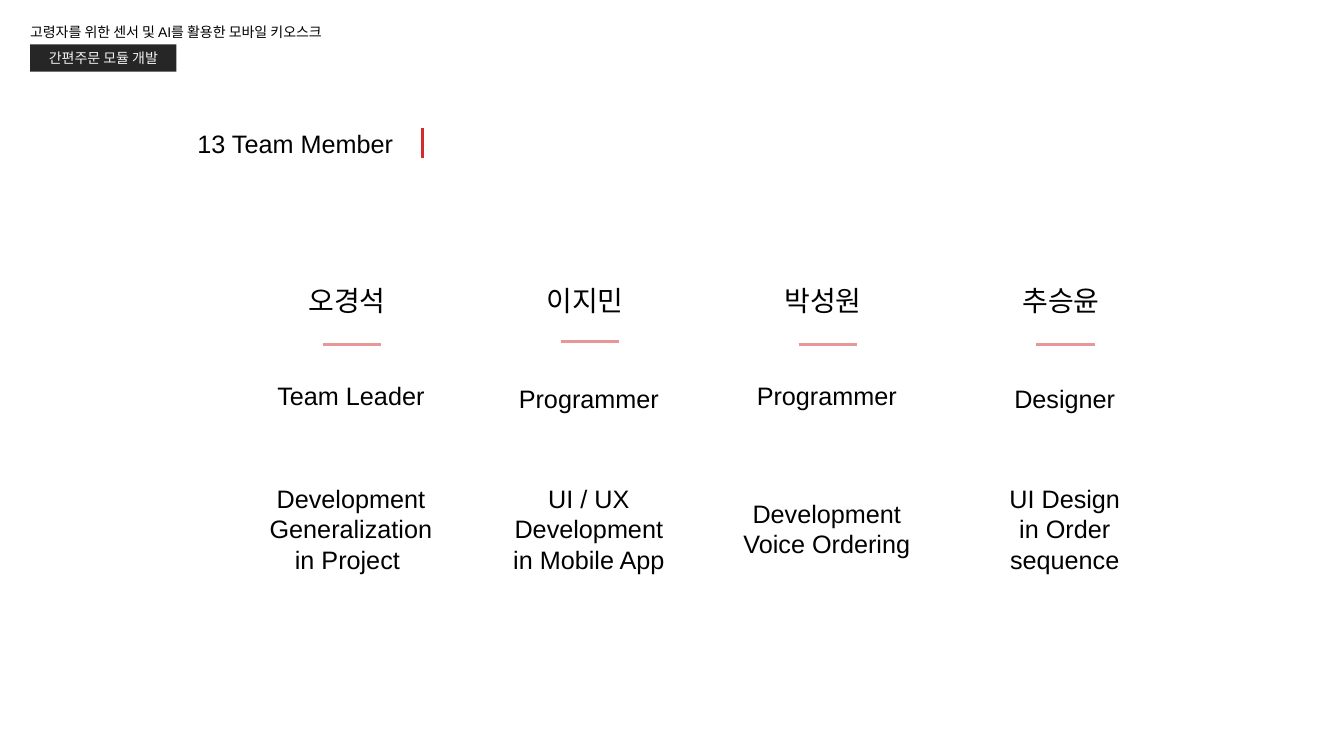
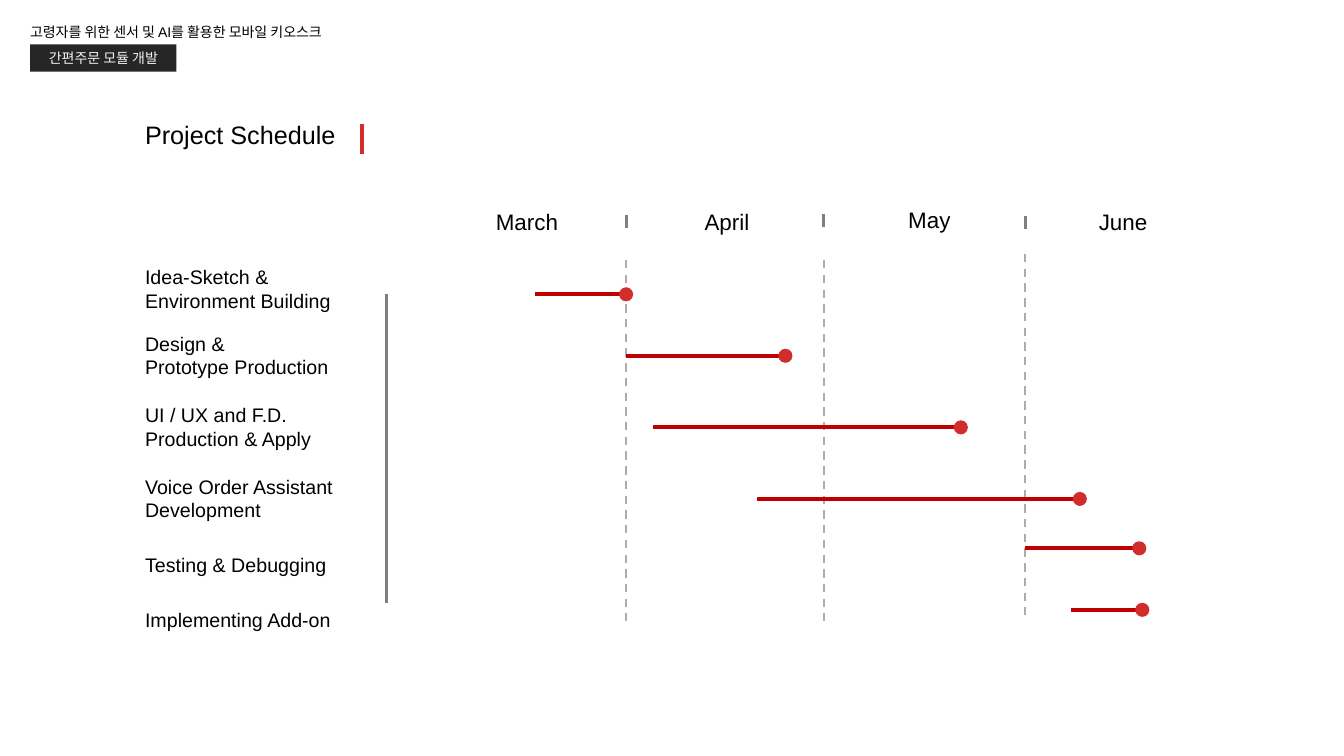
from pptx import Presentation
from pptx.dml.color import RGBColor
from pptx.enum.dml import MSO_LINE
from pptx.enum.shapes import MSO_CONNECTOR, MSO_SHAPE
from pptx.enum.text import MSO_ANCHOR, PP_ALIGN
from pptx.oxml.ns import qn
from pptx.util import Inches, Pt
from lxml import etree

LEFT, CENTER = PP_ALIGN.LEFT, PP_ALIGN.CENTER
TOP, MIDDLE = MSO_ANCHOR.TOP, MSO_ANCHOR.MIDDLE
RECTANGLE, OVAL = MSO_SHAPE.RECTANGLE, MSO_SHAPE.OVAL
STRAIGHT, DASH = MSO_CONNECTOR.STRAIGHT, MSO_LINE.DASH

FONT = "Arial"
COLORS = {
    "text": "000000",
    "badge": "262626",
    "badge_text": "F2F2F2",
    "accent": "D12D2D",
    "soft_accent": "E69898",
    "bar": "C00000",
    "axis": "808080",
    "grid": "AFABAB",
}

# Name, role, duty lines, rule offset and role offset from the column top
MEMBERS = [
    ("오경석", "Team Leader", ["Development Generalization in Project "], 0.66, 0.96),
    ("이지민", "Programmer", ["UI / UX", "Development", "in Mobile App"], 0.63, 0.99),
    ("박성원", "Programmer", ["Development", "Voice Ordering"], 0.66, 0.96),
    ("추승윤", "Designer", ["UI Design", "in Order sequence"], 0.66, 0.99),
]
COLUMN_PITCH = 2.36

# Offsets from the left and top of the schedule
MONTHS = [("March", 3.48, 0.02), ("April", 5.55, 0.02),
          ("May", 7.57, 0), ("June", 9.46, 0.02)]
# Month boundary, tick top, grid line top
BOUNDARIES = [(4.87, 0.13, 0.58), (6.83, 0.12, 0.58), (8.83, 0.14, 0.52)]
# Label lines, label top, bar start, bar end, bar height
TASKS = [
    (["Idea-Sketch &", "Environment Building"], 0.58, 3.97, 4.87, 0.92),
    (["Design &", "Prototype Production"], 1.24, 4.87, 6.45, 1.53),
    (["UI / UX and F.D.", "Production & Apply"], 1.95, 5.14, 8.19, 2.24),
    (["Voice Order Assistant", "Development"], 2.66, 6.17, 9.37, 2.95),
    (["Testing & Debugging"], 3.44, 8.83, 9.96, 3.44),
    (["Implementing Add-on"], 3.98, 9.28, 9.99, 4.05),
]
DOT = 0.14


def color(name):
    return RGBColor.from_string(COLORS[name])


def write(frame, lines, size, fill="text", align=LEFT, spacing=None):
    frame.word_wrap = True
    for index, line in enumerate(lines):
        para = frame.paragraphs[0] if index == 0 else frame.add_paragraph()
        para.text = line
        para.alignment = align
        if spacing:
            para.line_spacing = spacing
        para.font.name = FONT
        para.font.size = Pt(size)
        para.font.color.rgb = color(fill)


def add_text(page, left, top, width, height, lines, size, align=LEFT,
             anchor=TOP, spacing=None):
    box = page.shapes.add_textbox(
        Inches(left), Inches(top), Inches(width), Inches(height))
    box.text_frame.vertical_anchor = anchor
    write(box.text_frame, lines, size, align=align, spacing=spacing)


def add_shape(page, kind, left, top, width, height, fill):
    shape = page.shapes.add_shape(
        kind, Inches(left), Inches(top), Inches(width), Inches(height))
    shape.shadow.inherit = False
    shape.fill.solid()
    shape.fill.fore_color.rgb = color(fill)
    shape.line.fill.background()
    return shape


def add_line(page, x1, y1, x2, y2, stroke, weight=2.25, dash=None):
    line = page.shapes.add_connector(
        STRAIGHT, Inches(x1), Inches(y1), Inches(x2), Inches(y2))
    line.line.color.rgb = color(stroke)
    line.line.width = Pt(weight)
    if dash:
        line.line.dash_style = dash
    etree.SubElement(line._element.spPr, qn("a:effectLst"))


def add_header(page, left, top):
    # Project name above its dark badge
    add_text(page, left - 0.1, top, 3.64, 0.31,
             ["고령자를 위한 센서 및 AI를 활용한 모바일 키오스크"], 10, spacing=1.5)
    badge = add_shape(page, RECTANGLE, left, top + 0.34, 1.45, 0.27, "badge")
    badge.text_frame.vertical_anchor = MIDDLE
    write(badge.text_frame, ["간편주문 모듈 개발"], 10, "badge_text", CENTER)


def add_title(page, left, top, title, rule_x, rule_y):
    add_text(page, left, top, 2.47, 0.4, [title], 18)
    add_line(page, left + rule_x, top + rule_y,
             left + rule_x, top + rule_y + 0.3, "accent")


def add_member(page, left, top, member):
    name, role, duty, rule_y, role_y = member
    width = 2.02
    add_text(page, left + 0.49, top, 1.05, 0.44, [name], 20)
    add_line(page, left + 0.73, top + rule_y,
             left + 1.31, top + rule_y, "soft_accent")
    add_text(page, left, top + role_y, width, 0.4, [role], 18, CENTER)
    add_text(page, left, top + 1.98, width, 1.01, duty, 18, CENTER, MIDDLE)


def add_schedule(page, left, top):
    # Month boundaries
    for x, tick_y, grid_y in BOUNDARIES:
        x += left
        add_line(page, x, top + grid_y, x, top + grid_y + 3.58,
                 "grid", 1.5, DASH)
        add_line(page, x, top + tick_y, x, top + tick_y + 0.13, "axis")
    for month, x, y in MONTHS:
        add_text(page, left + x, top + y, 0.97, 0.37, [month], 16)

    # Task labels, bars and end dots
    add_line(page, left + 2.49, top + 0.92, left + 2.49, top + 3.98, "axis")
    for label, label_y, start, end, bar_y in TASKS:
        height = 0.11 + 0.23 * len(label)
        add_text(page, left, top + label_y, 2.11, height, label, 14)
        add_line(page, left + start, top + bar_y,
                 left + end, top + bar_y, "bar", 3)
        add_shape(page, OVAL, left + end - DOT / 2, top + bar_y - DOT / 2,
                  DOT, DOT, "accent")


def add_page(deck):
    page = deck.slides.add_slide(deck.slide_layouts[6])
    add_header(page, 0.3, 0.1)
    return page


def build_team(deck):
    page = add_page(deck)
    add_title(page, 1.86, 1.22, "13 Team Member", 2.33, 0.05)
    for index, member in enumerate(MEMBERS):
        add_member(page, 2.47 + index * COLUMN_PITCH, 2.76, member)


def build_schedule(deck):
    page = add_page(deck)
    add_title(page, 1.34, 1.13, "Project Schedule", 2.25, 0.1)
    add_schedule(page, 1.34, 2)


def main():
    deck = Presentation()
    deck.slide_width = Inches(13.33)
    deck.slide_height = Inches(7.5)
    build_team(deck)
    build_schedule(deck)
    deck.save("out.pptx")


if __name__ == "__main__":
    main()
